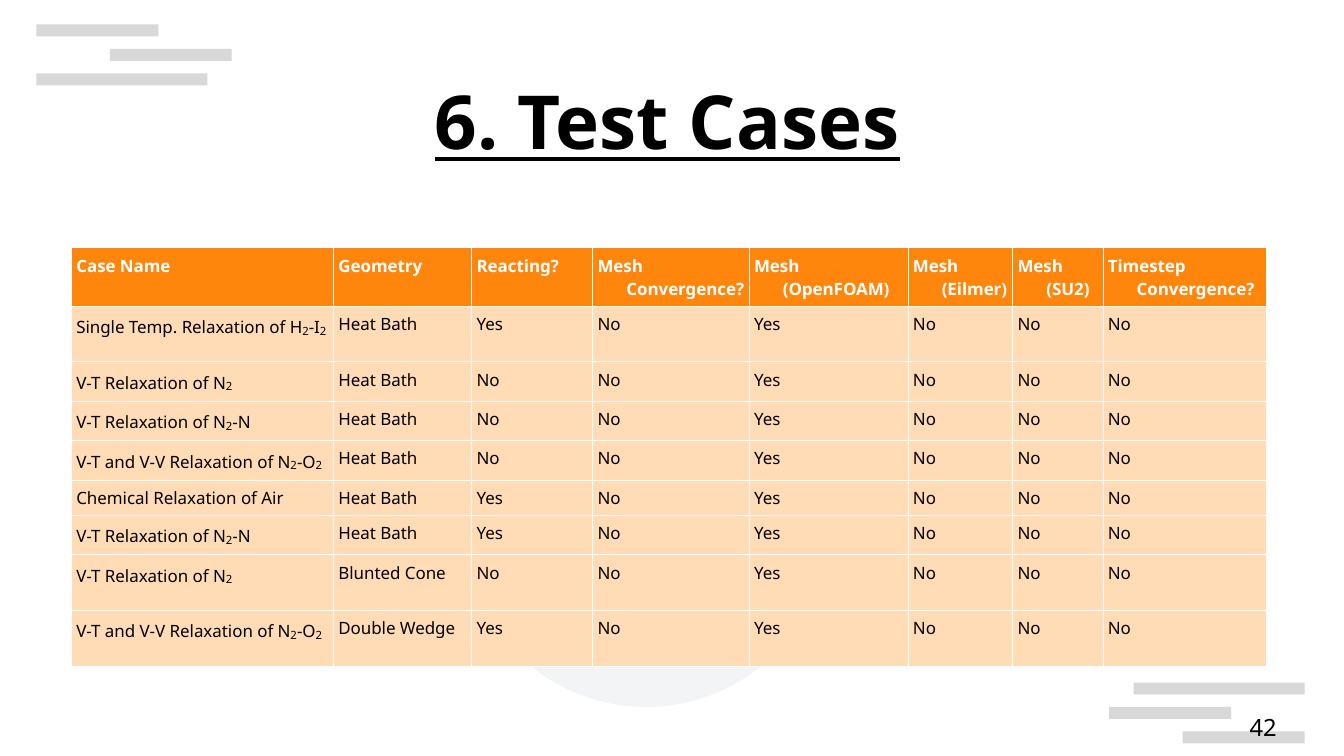
from lxml import etree
from pptx import Presentation
from pptx import util as u
from pptx.dml import color
from pptx.enum import shapes, text
from pptx.oxml import ns

COLORS = {"bar": "CCCCCC", "circle": "8D99AE", "header": "FF860D",
          "body": "FFDBB6", "border": "FFFFFF", "ink": "000000"}
FONT = "Noto Sans"


def add_span(para, words, ink, **values):
    span = para.add_run()
    span.text = words
    span.font.name = FONT
    span.font.color.rgb = color.RGBColor.from_string(COLORS[ink])
    for name, value in values.items():
        setattr(span.font, name, value)
    return span


def add_decor(page, kind, area, fill, alpha):
    shape = page.shapes.add_shape(kind, *[u.Cm(length) for length in area])
    shape.shadow.inherit = False
    shape.line.fill.background()
    shape.fill.solid()
    shape.fill.fore_color.rgb = color.RGBColor.from_string(COLORS[fill])
    tone = shape._element.spPr.find(".//" + ns.qn("a:srgbClr"))
    etree.SubElement(tone, ns.qn("a:alpha"), val=str(alpha * 1000))


deck = Presentation()
deck.slide_width = u.Cm(28)
deck.slide_height = u.Cm(15.75)
page = deck.slides.add_slide(deck.slide_layouts[5])

bar_groups = [
    (14.22, [(23.62, 3.56), (23.11, 2.54), (24.64, 2.54)]),
    (0.51, [(0.76, 2.54), (2.29, 2.54), (0.76, 3.56)]),
]
for top, bars in bar_groups:
    for index, (left, width) in enumerate(bars):
        area = (left, top + index * 0.51, width, 0.25)
        add_decor(page, shapes.MSO_SHAPE.RECTANGLE, area, "bar", 75)
add_decor(page, shapes.MSO_SHAPE.OVAL, (9.65, 7.11, 7.62, 7.62), "circle", 10)

title = page.shapes.title
number = page.shapes.add_textbox(u.Cm(20.07), u.Cm(14.35), u.Cm(6.53), u.Cm(1.09))
title.left, title.top, title.width, title.height = u.Cm(1.3), u.Cm(1.3), u.Cm(25.2), u.Cm(2.62)
frame_values = {"word_wrap": True, "auto_size": text.MSO_AUTO_SIZE.NONE,
                "margin_left": 0, "margin_right": 0, "margin_top": 0, "margin_bottom": 0}
for box in (title, number):
    for name, value in frame_values.items():
        setattr(box.text_frame, name, value)

title.text_frame.vertical_anchor = text.MSO_ANCHOR.MIDDLE
para = title.text_frame.paragraphs[0]
para.alignment = text.PP_ALIGN.CENTER
para.line_spacing = 0.9
add_span(para, "6. Test Cases", "ink", size=u.Pt(44), bold=True, underline=True)

number.text_frame.vertical_anchor = text.MSO_ANCHOR.BOTTOM
para = number.text_frame.paragraphs[0]
para.alignment = text.PP_ALIGN.RIGHT
add_span(para, "42", "ink", size=u.Pt(14))

header = ["Case Name", "Geometry", "Reacting?", "Mesh Convergence?", "Mesh (OpenFOAM)",
          "Mesh (Eilmer)", "Mesh (SU2)", "Timestep Convergence?"]
cases = [
    ("Single Temp. Relaxation of H|2|-I|2", "Heat Bath", "Yes"),
    ("V-T Relaxation of N|2", "Heat Bath", "No"),
    ("V-T Relaxation of N|2|-N", "Heat Bath", "No"),
    ("V-T and V-V Relaxation of N|2|-O|2", "Heat Bath", "No"),
    ("Chemical Relaxation of Air", "Heat Bath", "Yes"),
    ("V-T Relaxation of N|2|-N", "Heat Bath", "Yes"),
    ("V-T Relaxation of N|2", "Blunted Cone", "No"),
    ("V-T and V-V Relaxation of N|2|-O|2", "Double Wedge", "Yes"),
]
rows = [header] + [[*case, "No", "Yes", "No", "No", "No"] for case in cases]
widths = [5.46, 2.88, 2.52, 3.26, 3.31, 2.18, 1.88, 3.4]
heights = [1.22, 1.16, 0.69, 0.69, 0.69, 0.69, 0.69, 1.16, 1.16]
cell_values = {"margin_left": u.Cm(0.1), "margin_right": u.Cm(0.1),
               "margin_top": u.Cm(0.13), "margin_bottom": u.Cm(0.13)}

table = page.shapes.add_table(len(rows), len(widths), u.Cm(1.49), u.Cm(5.16),
                              u.Cm(sum(widths)), u.Cm(sum(heights))).table
for column, width in zip(table.columns, widths):
    column.width = u.Cm(width)

for row_index, (row, height) in enumerate(zip(rows, heights)):
    table.rows[row_index].height = u.Cm(height)
    is_header = row_index == 0
    for column_index, words in enumerate(row):
        cell = table.cell(row_index, column_index)
        for name, value in cell_values.items():
            setattr(cell, name, value)
        for side in ("lnL", "lnR", "lnT", "lnB"):
            border = etree.SubElement(cell._tc.get_or_add_tcPr(), ns.qn("a:" + side),
                                      w=str(u.Pt(0.57)))
            paint = etree.SubElement(border, ns.qn("a:solidFill"))
            etree.SubElement(paint, ns.qn("a:srgbClr"), val=COLORS["border"])
        cell.fill.solid()
        cell.fill.fore_color.rgb = color.RGBColor.from_string(
            COLORS["header" if is_header else "body"])

        para = cell.text_frame.paragraphs[0]
        indents = para._p.get_or_add_pPr()
        indents.set("marL", str(u.Cm(0.6)))
        indents.set("indent", str(u.Cm(-0.6)))
        for part_index, part in enumerate(words.split("|")):
            is_subscript = part_index % 2 == 1
            span = add_span(para, part, "border" if is_header else "ink",
                            size=u.Pt(11.6 if is_subscript else 10), bold=is_header)
            if is_subscript:
                span._r.get_or_add_rPr().set("baseline", "-8000")

deck.save("out.pptx")
